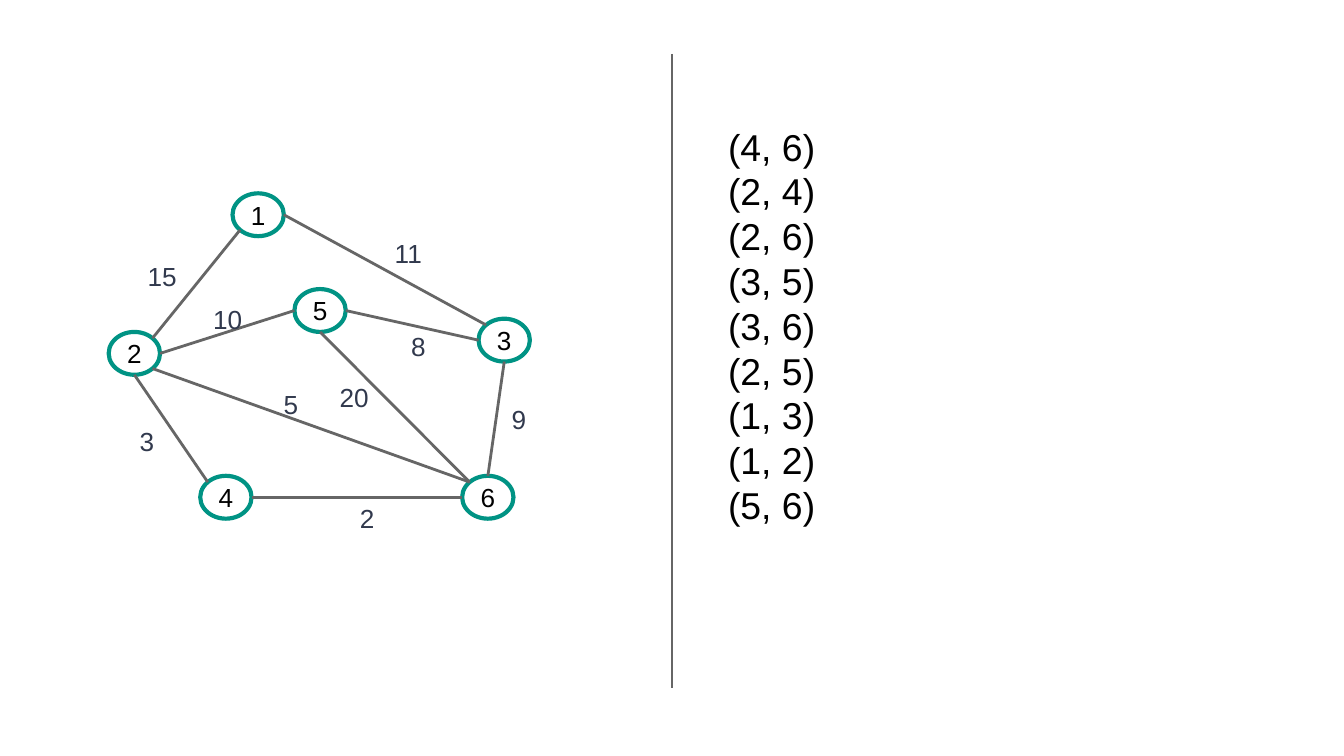
from dataclasses import dataclass
from math import cos, radians, sin
from typing import NamedTuple

from lxml.etree import SubElement
from pptx import Presentation
from pptx.dml.color import RGBColor as RGB
from pptx.enum.shapes import MSO_CONNECTOR as CONNECTOR, MSO_SHAPE as SHAPE
from pptx.enum.text import MSO_ANCHOR as ANCHOR, PP_ALIGN as ALIGN
from pptx.oxml.ns import qn
from pptx.util import Cm, Pt


@dataclass(frozen=True)
class Theme:
    font: str = "Arial"
    ink: RGB = RGB(0x00, 0x00, 0x00)
    weight: RGB = RGB(0x31, 0x39, 0x4D)
    line: RGB = RGB(0x66, 0x66, 0x66)
    ring: RGB = RGB(0x00, 0x93, 0x84)
    graph_size: Pt = Pt(14)
    list_size: Pt = Pt(20)
    list_leading: Pt = Pt(24)
    line_width: Pt = Pt(1.5)
    ring_width: Pt = Pt(2.25)


class Edge(NamedTuple):
    weight: int
    start: int
    start_side: str
    end: int
    end_side: str
    label_at: tuple


THEME = Theme()
NODE_W, NODE_H = 0.97, 0.81
LABEL_W, LABEL_H = 1.17, 1.12
ANGLES = {side: 45 * i for i, side in enumerate(("E", "SE", "S", "SW", "W", "NW", "N", "NE"))}

NODES = {
    1: (4.88, 4.06),
    2: (2.54, 6.68),
    3: (9.53, 6.43),
    4: (4.27, 9.4),
    5: (6.05, 5.87),
    6: (9.22, 9.4),
}

EDGES = [
    Edge(2, 4, "E", 6, "W", (6.55, 9.25)),
    Edge(3, 2, "S", 4, "NW", (2.39, 7.8)),
    Edge(5, 2, "SE", 6, "NW", (5.11, 7.09)),
    Edge(8, 3, "W", 5, "E", (7.52, 5.99)),
    Edge(9, 3, "S", 6, "N", (9.42, 7.37)),
    Edge(10, 2, "E", 5, "W", (3.78, 5.49)),
    Edge(11, 1, "E", 3, "NW", (7.21, 4.24)),
    Edge(15, 1, "SW", 2, "NE", (2.54, 4.67)),
    Edge(20, 5, "S", 6, "NW", (6.17, 6.96)),
]


def style_text(p, size, color):
    p.font.name = THEME.font
    p.font.size = size
    p.font.color.rgb = color


def set_margins(tf, margin):
    tf.margin_left = tf.margin_right = tf.margin_top = tf.margin_bottom = margin


def add_line(shapes, start, end):
    ends = [Cm(v) for v in (*start, *end)]
    line = shapes.add_connector(CONNECTOR.STRAIGHT, *ends)
    line.line.color.rgb = THEME.line
    line.line.width = THEME.line_width
    SubElement(line._element.spPr, qn("a:effectLst"))


def add_node(shapes, number, center):
    x, y = center
    sp = shapes.add_shape(SHAPE.OVAL, Cm(x - NODE_W / 2), Cm(y - NODE_H / 2), Cm(NODE_W), Cm(NODE_H))
    sp.shadow.inherit = False
    sp.fill.background()
    sp.line.color.rgb = THEME.ring
    sp.line.width = THEME.ring_width
    tf = sp.text_frame
    set_margins(tf, Cm(0.05))
    tf.vertical_anchor = ANCHOR.MIDDLE
    p = tf.paragraphs[0]
    p.text = str(number)
    p.alignment = ALIGN.CENTER
    style_text(p, THEME.graph_size, THEME.ink)


def add_text(shapes, lines, box, size, color, leading=None):
    tf = shapes.add_textbox(*[Cm(v) for v in box]).text_frame
    tf.word_wrap = True
    set_margins(tf, Cm(0.25))
    for i, line in enumerate(lines):
        p = tf.add_paragraph() if i else tf.paragraphs[0]
        p.text = line
        p.line_spacing = leading
        style_text(p, size, color)


def rim_point(node, side):
    x, y = NODES[node]
    angle = radians(ANGLES[side])
    return x + NODE_W / 2 * cos(angle), y + NODE_H / 2 * sin(angle)


def add_graph(slide):
    shapes = slide.shapes.add_group_shape().shapes
    for number, center in NODES.items():
        add_node(shapes, number, center)
    for edge in EDGES:
        add_line(shapes, rim_point(edge.start, edge.start_side), rim_point(edge.end, edge.end_side))
    for edge in EDGES:
        box = (*edge.label_at, LABEL_W, LABEL_H)
        add_text(shapes, [str(edge.weight)], box, THEME.graph_size, THEME.weight)


def add_sorted_edges(slide):
    ordered = sorted(EDGES, key=lambda edge: edge.weight)
    lines = [f"({edge.start}, {edge.end})" for edge in ordered]
    add_text(slide.shapes, lines, (13.51, 2.09, 10.85, 10.8),
             THEME.list_size, THEME.ink, THEME.list_leading)


def main():
    prs = Presentation()
    prs.slide_width, prs.slide_height = Cm(25.4), Cm(14.29)
    slide = prs.slides.add_slide(prs.slide_layouts[6])
    add_line(slide.shapes, (12.7, 1.02), (12.7, 13))
    add_graph(slide)
    add_sorted_edges(slide)
    prs.save("out.pptx")


if __name__ == "__main__":
    main()
